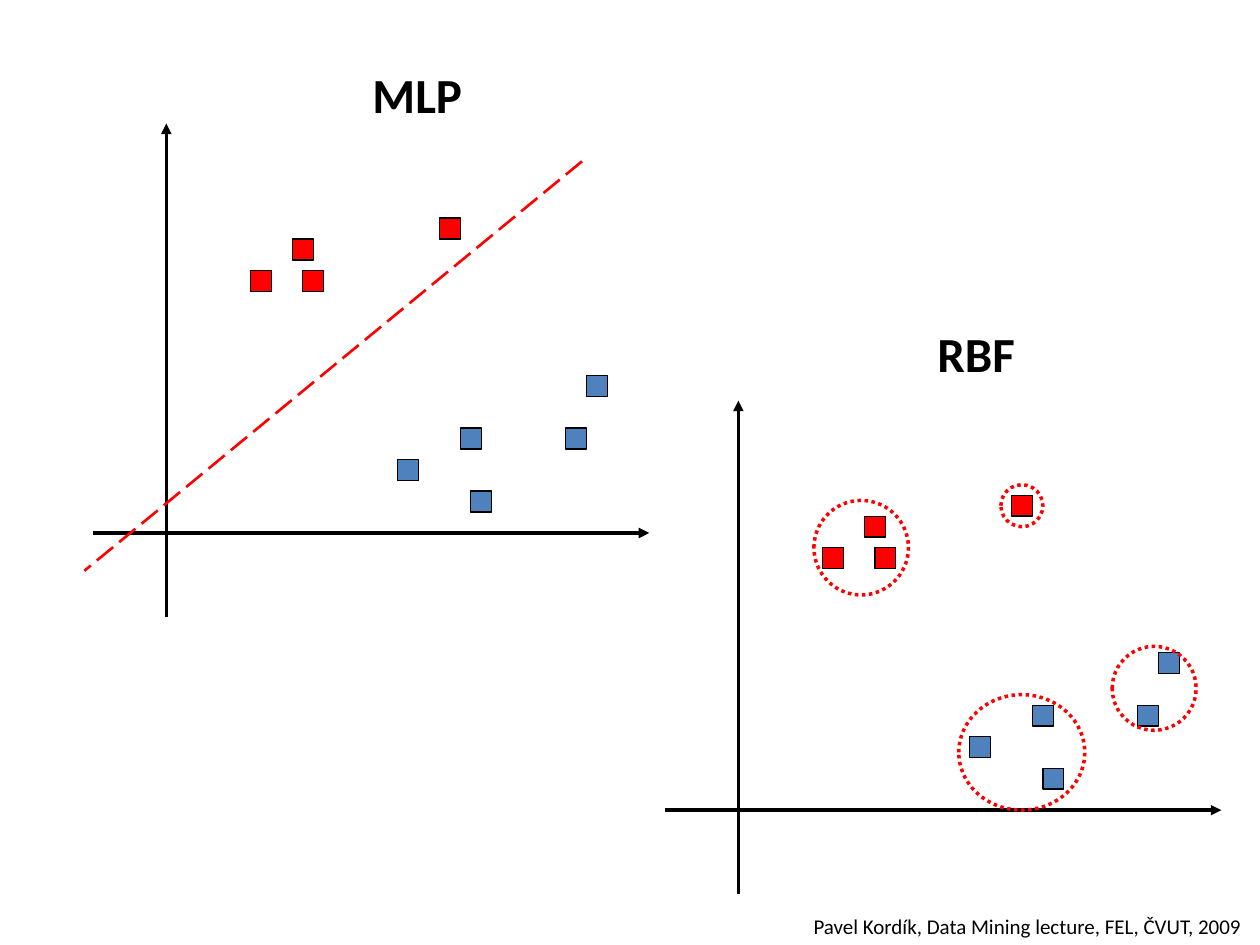
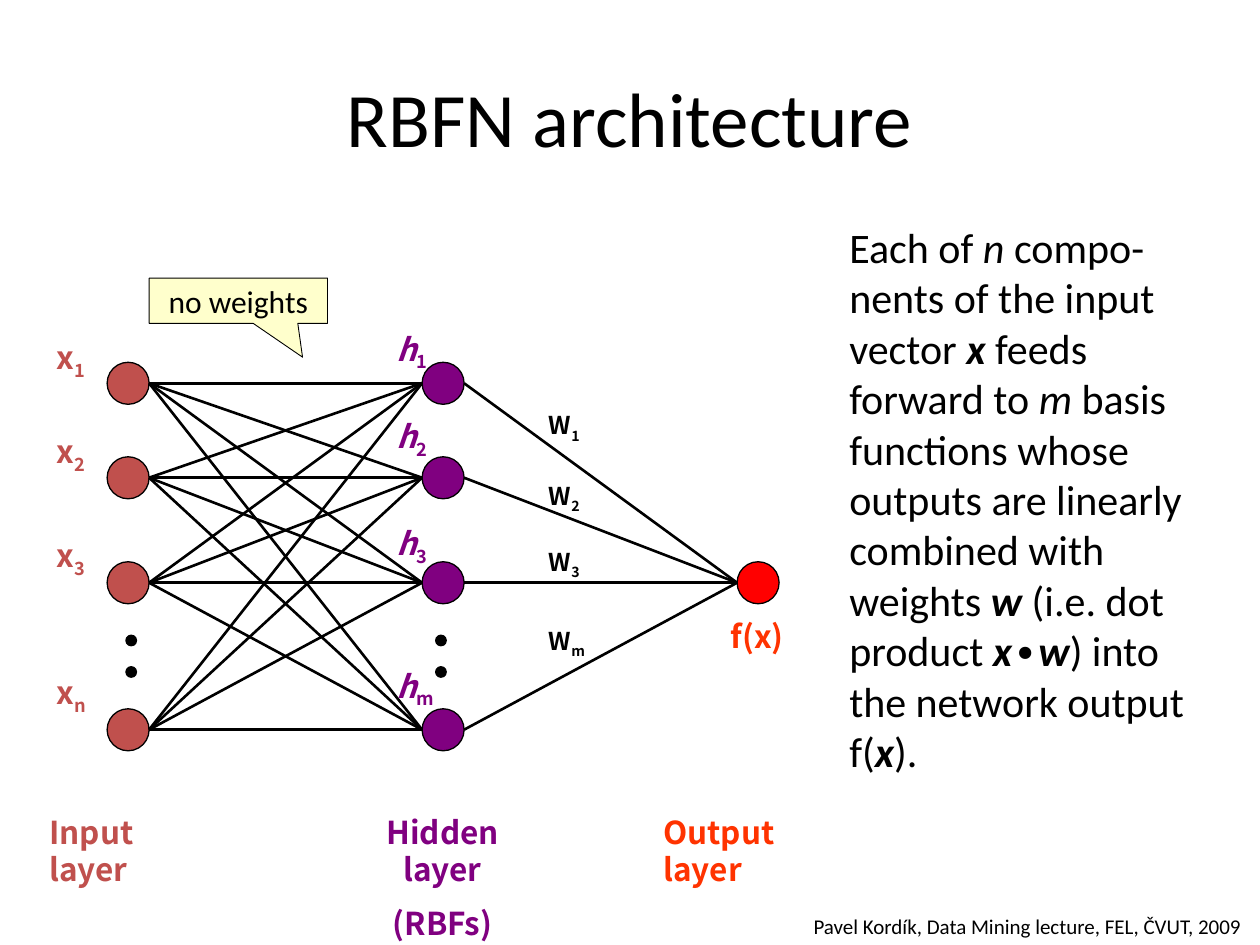
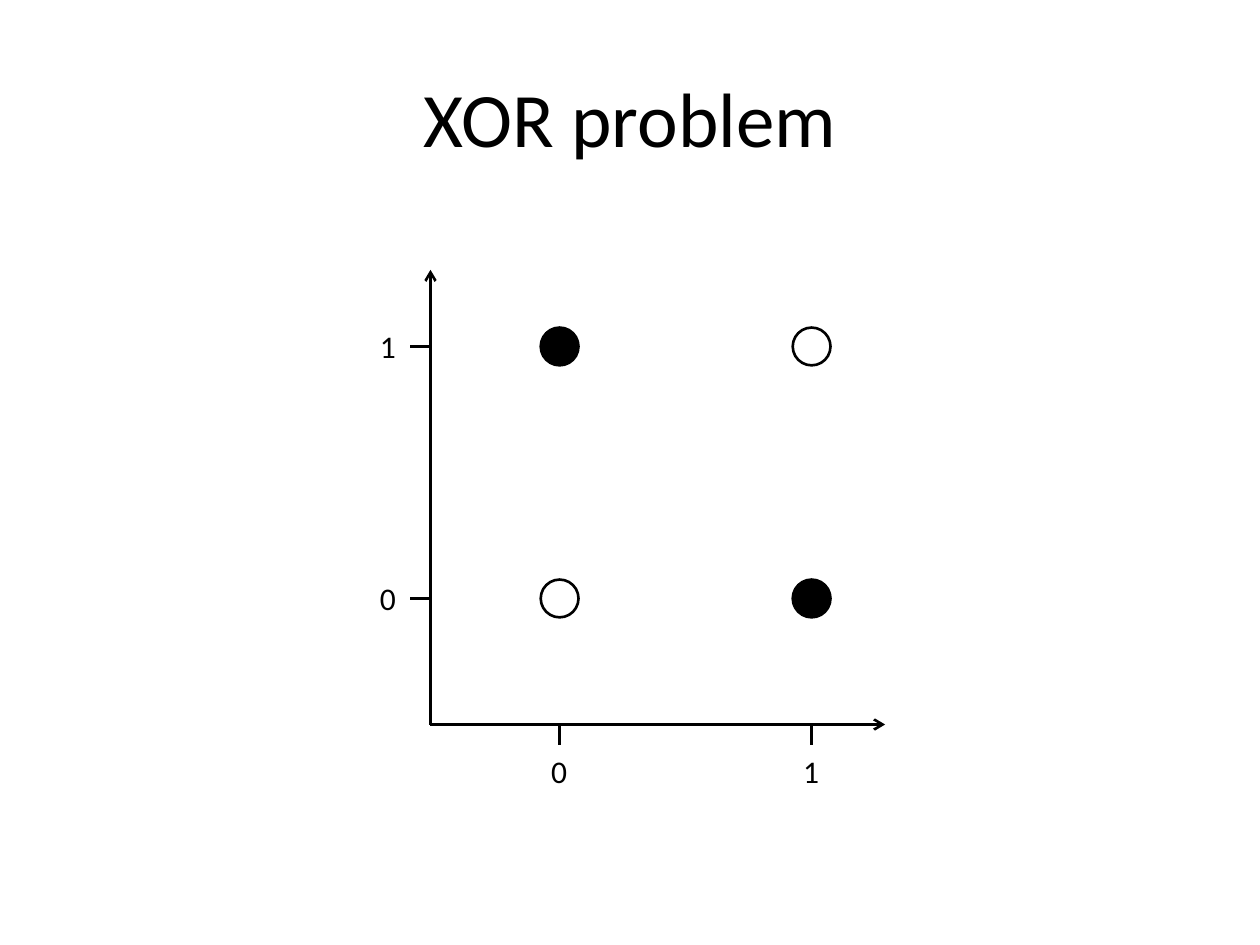
from lxml.etree import SubElement
from pptx import Presentation
from pptx.dml.color import RGBColor
from pptx.enum.dml import MSO_LINE as DASH
from pptx.enum.shapes import MSO_CONNECTOR, MSO_SHAPE as SHAPE
from pptx.enum.text import MSO_ANCHOR as ANCHOR, MSO_AUTO_SIZE as FIT, PP_ALIGN as ALIGN
from pptx.oxml.ns import qn
from pptx.util import Inches, Pt

BLACK = RGBColor(0x00, 0x00, 0x00)
RED = RGBColor(0xFF, 0x00, 0x00)
BLUE = RGBColor(0x4F, 0x81, 0xBD)
BRICK = RGBColor(0xC0, 0x50, 0x4D)
PURPLE = RGBColor(0x80, 0x00, 0x80)
ORANGE = RGBColor(0xFF, 0x33, 0x00)
CREAM = RGBColor(0xFF, 0xFF, 0xCC)
BODY = "Calibri"
LABEL = "Noto Sans CJK KR"
CREDIT = "Pavel Kordík, Data Mining lecture, FEL, ČVUT, 2009"
STEP = Inches(1) / 12


def draw(page, preset, x, y, width, height, fill=None, color=BLACK,
         weight=0.75, dash=None, head=None):
    left, top, wide, high = [round(n * STEP) for n in (x, y, width, height)]
    if preset is None:
        shape = page.shapes.add_connector(
            MSO_CONNECTOR.STRAIGHT, left, top, left + wide, top + high)
    else:
        shape = page.shapes.add_shape(preset, left, top, wide, high)
        shape.shadow.inherit = False
        if fill is None:
            shape.fill.background()
        else:
            shape.fill.solid()
            shape.fill.fore_color.rgb = fill
    shape.line.color.rgb = color
    shape.line.width = Pt(weight)
    if dash:
        shape.line.dash_style = dash
    if head:
        SubElement(shape.line._get_or_add_ln(), qn("a:tailEnd"), type=head)
    if preset is None:
        SubElement(shape._element.spPr, qn("a:effectLst"))
    return shape


def write(page, text, at=None, box=None, size=18, font=BODY, color=BLACK,
          bold=False, align=ALIGN.LEFT, anchor=ANCHOR.TOP, wrap=True, fit=FIT.SHAPE_TO_FIT_TEXT):
    if box is None:
        box = page.shapes.add_textbox(*[round(n * STEP) for n in at])
    frame = box.text_frame
    frame.word_wrap = wrap
    frame.auto_size = fit
    frame.vertical_anchor = anchor
    paragraphs = [[(text, "")]] if isinstance(text, str) else text
    for number, spans in enumerate(paragraphs):
        para = frame.add_paragraph() if number else frame.paragraphs[0]
        para.alignment = align
        if number:
            para.space_before = Pt(size / 2)
        for words, style in spans:
            span = para.add_run()
            span.text = words
            span.font.name = font
            span.font.size = Pt(size)
            span.font.color.rgb = color
            span.font.bold = bold or "b" in style
            span.font.italic = "i" in style
            if "s" in style:
                span._r.get_or_add_rPr().set("baseline", "-25000")


deck = Presentation()
deck.slide_width = Inches(10)
deck.slide_height = Inches(7.5)
blank = deck.slide_layouts[6]
compare, network, xor = [deck.slides.add_slide(blank) for _ in range(3)]

for page, title in ((network, "RBFN architecture"), (xor, "XOR problem")):
    write(page, title, (6, 3.6, 108, 15), size=44, align=ALIGN.CENTER,
          anchor=ANCHOR.MIDDLE, fit=FIT.NONE)
for page in (compare, network):
    write(page, CREDIT, (76.3, 86.4, 43.6, 3.6), size=12, wrap=False)

red_points = [(13, -25), (26, -30), (8, -25), (12, -28)]
blue_points = [(40, -15), (38, -10), (29, -4), (28, -10), (22, -7)]
clusters = [(7.2, -29.5, 9, 9), (25, -31, 4, 4), (21, -11, 12, 11), (35.6, -15.6, 8, 8)]
charts = [("MLP", 15.84, 50.76, 34.3, 5.6), ("RBF", 70.32, 77.16, 88.1, 30.2)]
for name, origin_x, origin_y, name_x, name_y in charts:
    draw(compare, None, origin_x - 7, origin_y, 53, 0, weight=2, head="triangle")
    draw(compare, None, origin_x, origin_y + 8, 0, -47, weight=2, head="triangle")
    for points, color in ((red_points, RED), (blue_points, BLUE)):
        for x, y in points:
            draw(compare, SHAPE.RECTANGLE, origin_x + x, origin_y + y, 2, 2, fill=color)
    if name == "MLP":
        draw(compare, None, origin_x + 39.6, origin_y - 35.4, -47.4, 39,
             color=RED, weight=1.5, dash=DASH.LONG_DASH)
    else:
        for x, y, width, height in clusters:
            draw(compare, SHAPE.OVAL, origin_x + x, origin_y + y, width, height,
                 color=RED, weight=2, dash=DASH.ROUND_DOT)
    write(compare, name, (name_x, name_y, 11, 6.8), size=28, bold=True, wrap=False)

rows = [36.5, 45.5, 55.5, 69.5]
input_x, hidden_x, output_x = 12.2, 42.2, 72.2
output_y = rows[2]
radius = 2
for x, centres, color in ((input_x, rows, BRICK), (hidden_x, rows, PURPLE),
                          (output_x, [output_y], RED)):
    for y in centres:
        draw(network, SHAPE.OVAL, x - radius, y - radius, 2 * radius, 2 * radius, fill=color)
span_x = hidden_x - input_x - 2 * radius
for start in rows:
    for end in rows:
        draw(network, None, input_x + radius, start, span_x, end - start, weight=1.5)
    draw(network, None, hidden_x + radius, start, span_x, output_y - start, weight=1.5)
for x in (12, 41.5):
    for y in (60.5, 63.5):
        draw(network, SHAPE.OVAL, x, y, 1, 1, fill=BLACK)

node_labels = [
    ("x", "", "123n", 4.2, [31.6, 40.6, 50.5, 63.5], 8, 18, BRICK),
    ("h", "i", "123m", 36.6, [30.8, 39.1, 49.3, 62.9], 8, 18, PURPLE),
    ("W", "", "123m", 51.1, [38.5, 45.2, 51.5, 59], 6.4, 14, BLACK),
]
for letter, style, indexes, x, tops, width, size, color in node_labels:
    for index, y in zip(indexes, tops):
        write(network, [[(letter, style), (index, "s")]], (x, y, width, 4.8),
              size=size, font=LABEL, color=color, bold=True)
write(network, "f(x)", (68.4, 58.2, 7.6, 4.8), font=LABEL, color=ORANGE, bold=True)

layer_names = [
    ("Input layer", 3.5, 17.2, BRICK, ALIGN.LEFT),
    ([[("Hidden layer", "")], [("(RBFs)", "")]], 32.3, 19.7, PURPLE, ALIGN.CENTER),
    ("Output layer", 62, 19.6, ORANGE, ALIGN.LEFT),
]
for name, x, width, color, align in layer_names:
    write(network, name, (x, 76.8, width, 4.8), font=LABEL, color=color, bold=True, align=align)

explanation = [
    ("Each of ", ""), ("n", "i"), (" compo-nents of the input vector ", ""), ("x", "bi"),
    (" feeds forward to ", ""), ("m", "i"),
    (" basis functions whose outputs are linearly combined with weights ", ""), ("w", "bi"),
    (" (i.e. dot product ", ""), ("x", "bi"), ("∙", ""), ("w", "bi"),
    (") into the network output f(", ""), ("x", "bi"), (").", ""),
]
write(network, [explanation], (79.7, 20.5, 37.1, 49.7), size=24)
callout = draw(network, SHAPE.RECTANGULAR_CALLOUT, 14.2, 26.5, 17, 4.3, fill=CREAM, weight=0.5)
callout.adjustments[0] = 0.36
callout.adjustments[1] = 1.25
write(network, "no weights", box=callout, align=ALIGN.CENTER, anchor=ANCHOR.MIDDLE, fit=FIT.NONE)

corner_x, corner_y = 41, 69
draw(xor, None, corner_x, corner_y, 43.3, 0, weight=1.5, head="arrow")
draw(xor, None, corner_x, corner_y, 0, -43.3, weight=1.5, head="arrow")
for value in (0, 1):
    column = 53.3 + 24 * value
    row = 57 - 24 * value
    draw(xor, None, column, corner_y, 0, 2, weight=1.5)
    draw(xor, None, corner_x, row, -2, 0, weight=1.5)
    write(xor, str(value), (column - 2, 71, 4, 4.8), wrap=False)
    write(xor, str(value), (35, row - 2.4, 4, 4.8), wrap=False)
    for other in (0, 1):
        draw(xor, SHAPE.OVAL, column - 1.8, 55.2 - 24 * other, 3.6, 3.6,
             fill=BLACK if value != other else None, weight=1.5)

deck.save("out.pptx")
